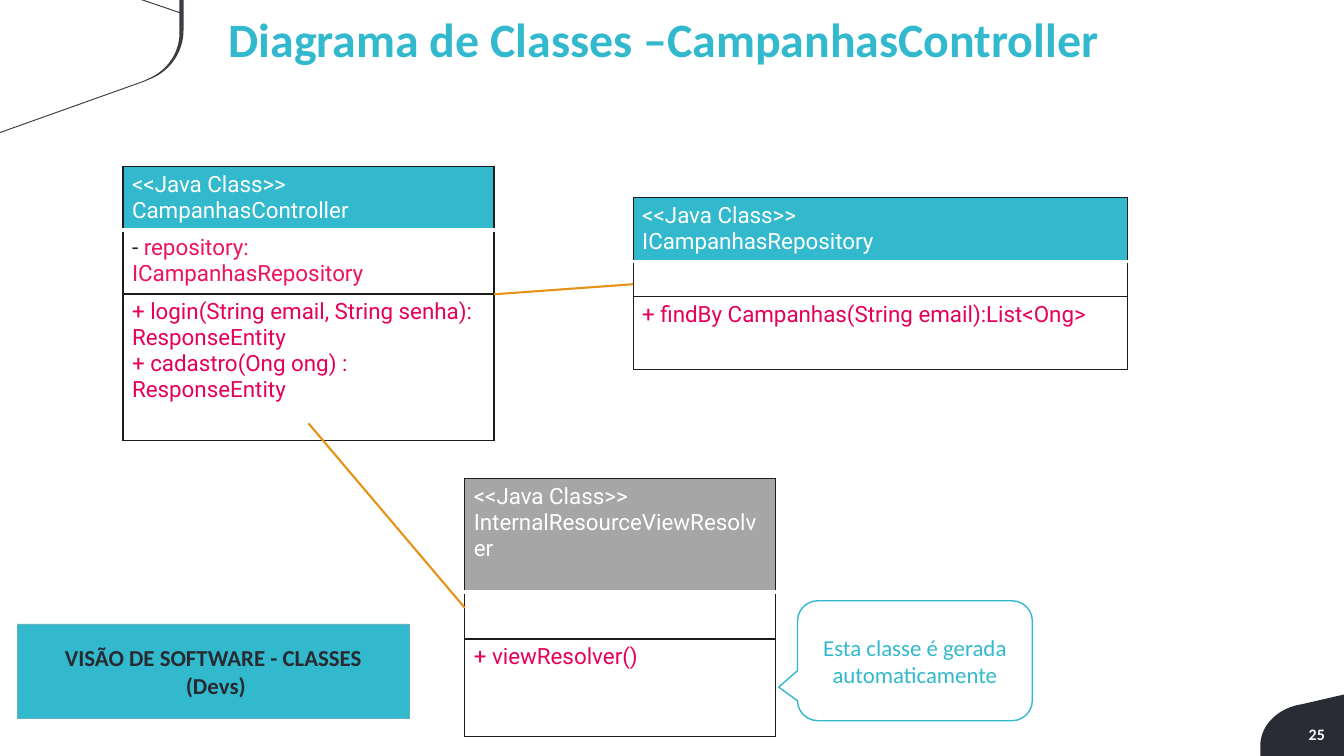
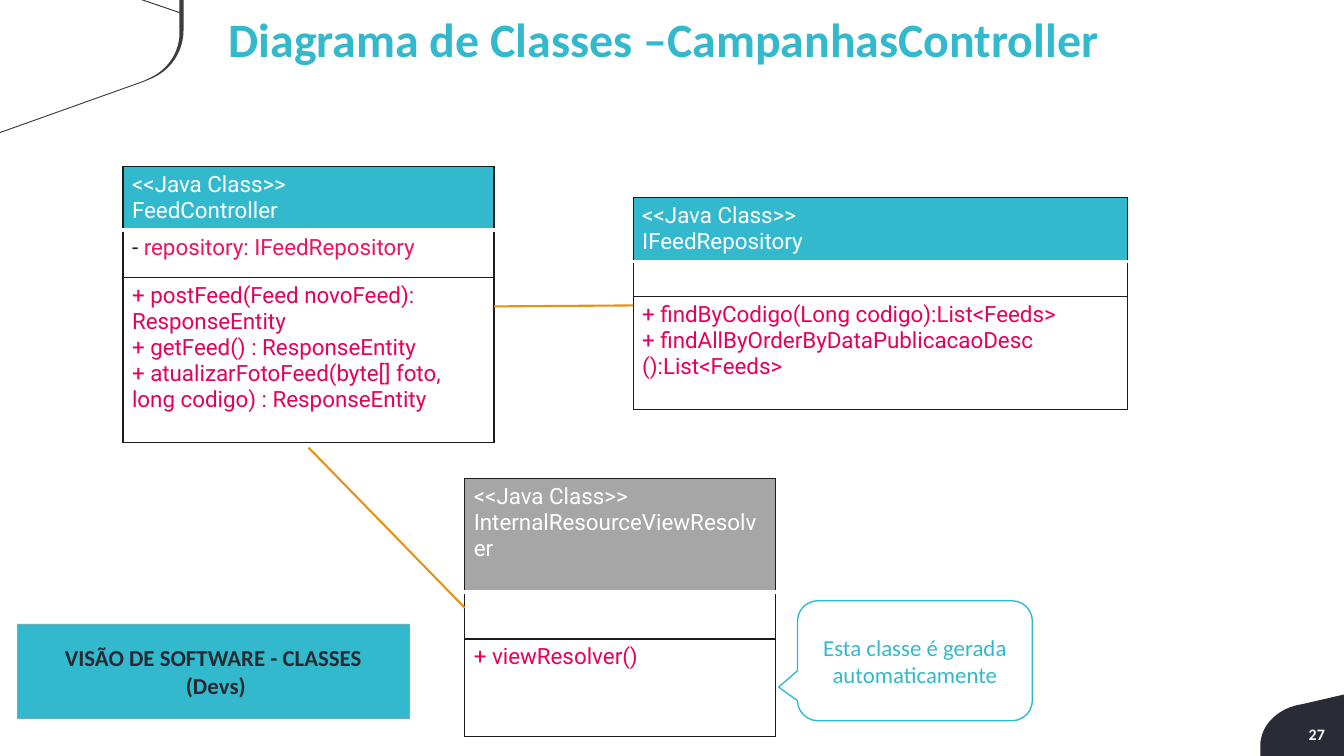
import math

import lxml.etree
import pptx
import pptx.dml.color
import pptx.enum.shapes
import pptx.enum.text
import pptx.oxml.ns
import pptx.util

Inches = pptx.util.Inches
SHAPE = pptx.enum.shapes.MSO_SHAPE
ALIGN = pptx.enum.text.PP_ALIGN
ANCHOR = pptx.enum.text.MSO_ANCHOR

HUES = {
    "teal": "32B9CD", "edge": "63B1BC", "gray": "A6A6A6", "ink": "1C1C1C",
    "white": "FFFFFF", "pink": "E6005A", "rose": "ED145B", "gold": "E59217",
    "navy": "292C34", "slate": "3B3D42", "dark": "272A30",
}
TITLE = "Diagrama de Classes –CampanhasController"


def hue(name):
    return pptx.dml.color.RGBColor.from_string(HUES[name])


def add_tag(parent, tag, **attrs):
    return lxml.etree.SubElement(parent, pptx.oxml.ns.qn(tag), **attrs)


def write(frame, lines, size=16.3, face="Calibri", color="ink", bold=False,
          align=ALIGN.LEFT, anchor=ANCHOR.TOP, space=None):
    """Each line is a string or a list of (text, color) runs."""
    frame.word_wrap = True
    frame.vertical_anchor = anchor
    for n, line in enumerate(lines):
        para = frame.add_paragraph() if n else frame.paragraphs[0]
        para.alignment = align
        if space:
            para.line_spacing = space
        for text, tint in [(line, color)] if isinstance(line, str) else line:
            run = para.add_run()
            run.text = text
            run.font.size = pptx.util.Pt(size)
            run.font.name = face
            run.font.bold = bold
            run.font.color.rgb = hue(tint)


def add_text(slide, box, lines, pad=None, **style):
    frame = slide.shapes.add_textbox(*map(Inches, box)).text_frame
    if pad:
        frame.margin_left = frame.margin_right = Inches(pad[0])
        frame.margin_top = frame.margin_bottom = Inches(pad[1])
    write(frame, lines, **style)


def add_block(slide, kind, box, fill, line, width):
    shape = slide.shapes.add_shape(kind, *map(Inches, box))
    shape.shadow.inherit = False
    if fill:
        shape.fill.solid()
        shape.fill.fore_color.rgb = hue(fill)
    else:
        shape.fill.background()
    shape.line.color.rgb = hue(line)
    shape.line.width = pptx.util.Pt(width)
    return shape


def add_link(slide, start, end):
    link = slide.shapes.add_connector(
        pptx.enum.shapes.MSO_CONNECTOR.STRAIGHT, *map(Inches, start + end))
    link.line.color.rgb = hue("gold")
    link.line.width = pptx.util.Pt(1.5)
    add_tag(link._element.spPr, "a:effectLst")


def arc(mid, radii, start, end, grow=0, steps=24):
    """Points from one angle to the other; the radii grow on the way."""
    points = []
    for n in range(steps + 1):
        part = n / steps
        turn = math.radians(start + (end - start) * part)
        scale = 1 + grow * part
        points.append((mid[0] + radii[0] * scale * math.cos(turn),
                       mid[1] + radii[1] * scale * math.sin(turn)))
    return points


def add_path(slide, points, fill):
    spots = [(Inches(x), Inches(y)) for x, y in points]
    pen = slide.shapes.build_freeform(*spots[0])
    pen.add_line_segments(spots[1:], close=True)
    shape = pen.convert_to_shape()
    shape.shadow.inherit = False
    shape.fill.solid()
    shape.fill.fore_color.rgb = hue(fill)
    shape.line.fill.background()


def add_frame(slide, page):
    # Dark tab behind the page number
    add_path(slide, [(13.33, 6.89), *arc((13, 7.4), (0.5, 0.42), 260, 180),
                     (12.5, 7.5), (13.33, 7.5)], "navy")
    # Thin lines and bent bar, top left
    outer = arc((1.3, 0.3), (0.52, 0.52), 70, 0)
    inner = arc((1.3, 0.3), (0.48, 0.48), 0, 70, grow=0.06)
    add_path(slide, [(0, 1.32), (1.43, 0.81), *outer, (1.82, 0), (1.78, 0),
                     (1.78, 0.12), (1.43, 0), (1.4, 0), (1.78, 0.13),
                     *inner, (1.43, 0.8), (0, 1.31)], "slate")
    # Page number and title
    add_text(slide, (12.54, 7.18, 0.62, 0.21), [page], pad=(0.02, 0.01),
             size=11.4, color="white", bold=True, align=ALIGN.RIGHT)
    add_text(slide, (2.17, 0.11, 10.69, 0.76), [TITLE],
             size=34.2, color="teal", bold=True, space=0.9)


def set_edge(cell, side, color, width):
    line = add_tag(cell._tc.get_or_add_tcPr(), "a:ln" + side,
                   w=str(pptx.util.Pt(width)))
    add_tag(add_tag(line, "a:solidFill"), "a:srgbClr", val=HUES[color])


def add_class(slide, spot, width, rows, name, fields, calls, fill="teal"):
    """Class box: name, fields and methods, one row each."""
    box = (*spot, width, sum(rows))
    table = slide.shapes.add_table(3, 1, *map(Inches, box)).table
    table.first_row = table.horz_banding = False
    parts = [["<<Java Class>>", name], fields, calls]
    for n, (lines, color) in enumerate(zip(parts, ("white", "rose", "pink"))):
        table.rows[n].height = Inches(rows[n])
        cell = table.cell(n, 0)
        cell.margin_left = cell.margin_right = Inches(0.09)
        cell.margin_top = cell.margin_bottom = Inches(0.05)
        write(cell.text_frame, lines, size=16, face="Roboto", color=color)
        if not lines:
            add_tag(cell.text_frame.paragraphs[0]._p, "a:endParaRPr", sz="1200")
        edges = {side: ("ink", 1) for side in "LRTB"}
        if n == 0:
            edges["B"] = ("white", 3)
        elif n == 1:
            edges["T"] = ("white", 1)
        for side, look in edges.items():
            set_edge(cell, side, *look)
        if n == 0:
            cell.fill.solid()
            cell.fill.fore_color.rgb = hue(fill)
        else:
            cell.fill.background()


def add_notes(slide):
    # Callout beside the view class
    note = add_block(slide, SHAPE.ROUNDED_RECTANGULAR_CALLOUT,
                     (7.91, 5.96, 2.33, 1.19), None, "teal", 1)
    for n, value in enumerate((-0.58, 0.22, 0.17)):
        note.adjustments[n] = value
    write(note.text_frame, ["Esta classe é gerada automaticamente"],
          color="teal", align=ALIGN.CENTER, anchor=ANCHOR.MIDDLE)
    # Label of the view
    label = add_block(slide, SHAPE.RECTANGLE, (0.17, 6.19, 3.89, 0.94),
                      "teal", "edge", 0.5)
    write(label.text_frame, ["VISÃO DE SOFTWARE - CLASSES", " (Devs)"],
          color="dark", bold=True, align=ALIGN.CENTER, anchor=ANCHOR.MIDDLE)


def add_page(deck, page, main, store, link, drop):
    slide = deck.slides.add_slide(deck.slide_layouts[6])
    add_frame(slide, page)
    # Class boxes
    add_class(slide, (1.22, 1.65), 3.68, **main)
    add_class(slide, (6.28, 1.96), 4.9, fields=[], **store)
    add_class(slide, (4.61, 4.75), 3.08, (1.12, 0.47, 0.97),
              "InternalResourceViewResolver", [], ["+ viewResolver()"], "gray")
    # Links between classes
    add_link(slide, (4.9, link[0]), (6.28, link[1]))
    add_link(slide, (3.06, drop), (4.61, 6.03))
    add_notes(slide)


PAGES = [
    dict(
        page="25", link=(2.92, 2.82), drop=4.2,
        main=dict(
            rows=(0.63, 0.61, 1.45), name="CampanhasController",
            fields=[[("- ", "ink"),
                     ("repository: ICampanhasRepository", "rose")]],
            calls=["+ login(String email, String senha): ResponseEntity",
                   "+ cadastro(Ong ong) : ResponseEntity"]),
        store=dict(
            rows=(0.61, 0.35, 0.72), name="ICampanhasRepository",
            calls=["+ findBy Campanhas(String email):List<Ong>"])),
    dict(
        page="27", link=(3.04, 3.03), drop=4.44,
        main=dict(
            rows=(0.63, 0.47, 1.64), name="FeedController",
            fields=[[("- ", "ink"), ("repository: IFeedRepository", "rose")]],
            calls=["+ postFeed(Feed novoFeed): ResponseEntity",
                   "+ getFeed() : ResponseEntity",
                   "+ atualizarFotoFeed(byte[] foto, long codigo) : "
                   "ResponseEntity"]),
        store=dict(
            rows=(0.61, 0.35, 1.12), name="IFeedRepository",
            calls=["+ findByCodigo(Long codigo):List<Feeds>",
                   "+ findAllByOrderByDataPublicacaoDesc ():List<Feeds>"])),
]


def main():
    deck = pptx.Presentation()
    deck.slide_width, deck.slide_height = Inches(13.33), Inches(7.5)
    for page in PAGES:
        add_page(deck, **page)
    deck.save("out.pptx")


if __name__ == "__main__":
    main()
